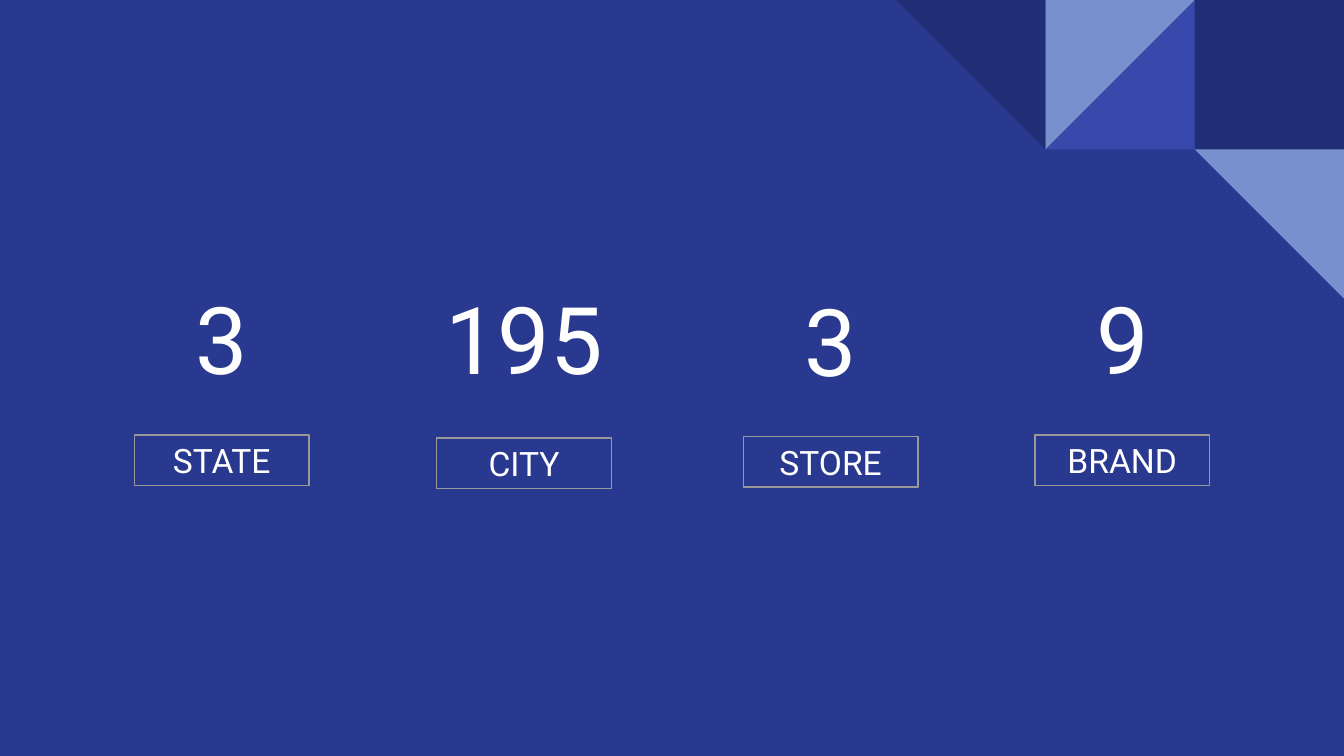
from dataclasses import dataclass

from pptx import Presentation
from pptx.dml.color import RGBColor
from pptx.enum.shapes import MSO_SHAPE as Preset
from pptx.enum.text import MSO_ANCHOR as Anchor
from pptx.enum.text import MSO_AUTO_SIZE as AutoSize
from pptx.enum.text import PP_ALIGN as Align
from pptx.slide import Slide
from pptx.text.text import TextFrame
from pptx.util import Pt

BACKGROUND = RGBColor(0x2A, 0x39, 0x90)
NAVY = RGBColor(0x21, 0x2D, 0x74)
INDIGO = RGBColor(0x39, 0x49, 0xAB)
LIGHT_BLUE = RGBColor(0x78, 0x90, 0xCD)
GRAY = RGBColor(0x99, 0x99, 0x99)
WHITE = RGBColor(0xFF, 0xFF, 0xFF)

FONT = "Roboto"
PAGE_WIDTH, PAGE_HEIGHT = 720, 405
TILE = 80
NUMBER_HEIGHT = 75
LABEL_WIDTH, LABEL_HEIGHT = 93.6, 27
INSET = 7.2


@dataclass
class Tile:
    """A corner tile; columns count from the right edge of the page."""
    column: int
    row: int
    preset: Preset
    rotation: int
    color: RGBColor


@dataclass
class Metric:
    value: str
    label: str
    center: float
    number_top: float
    label_top: float
    number_width: float = 72.7


TILES = [
    Tile(1, 0, Preset.RECTANGLE, 0, NAVY),
    Tile(2, 0, Preset.RIGHT_TRIANGLE, 270, INDIGO),
    Tile(2, 0, Preset.RIGHT_TRIANGLE, 90, LIGHT_BLUE),
    Tile(3, 0, Preset.RIGHT_TRIANGLE, 180, NAVY),
    Tile(1, 1, Preset.RIGHT_TRIANGLE, 180, LIGHT_BLUE),
]

METRICS = [
    Metric("3", "STATE", 118.8, 143.3, 233),
    Metric("195", "CITY", 280.8, 143.3, 234.7, number_width=110),
    Metric("3", "STORE", 445, 144.3, 234),
    Metric("9", "BRAND", 601.2, 143.3, 233),
]


def draw_tile(page: Slide, tile: Tile) -> None:
    shape = page.shapes.add_shape(
        tile.preset, Pt(PAGE_WIDTH - tile.column * TILE), Pt(tile.row * TILE),
        Pt(TILE), Pt(TILE))
    shape.rotation = tile.rotation
    shape.shadow.inherit = False
    shape.fill.solid()
    shape.fill.fore_color.rgb = tile.color
    shape.line.fill.background()


def write_text(frame: TextFrame, text: str, size: float, anchor: Anchor) -> None:
    frame.word_wrap = True
    frame.vertical_anchor = anchor
    frame.margin_left = frame.margin_right = Pt(INSET)
    frame.margin_top = frame.margin_bottom = Pt(INSET)
    para = frame.paragraphs[0]
    para.alignment = Align.CENTER
    span = para.add_run()
    span.text = text
    span.font.name = FONT
    span.font.size = Pt(size)
    span.font.color.rgb = WHITE


def draw_metric(page: Slide, metric: Metric) -> None:
    # Large number
    number = page.shapes.add_textbox(
        Pt(metric.center - metric.number_width / 2), Pt(metric.number_top),
        Pt(metric.number_width), Pt(NUMBER_HEIGHT))
    write_text(number.text_frame, metric.value, 50, Anchor.TOP)
    number.text_frame.auto_size = AutoSize.SHAPE_TO_FIT_TEXT

    # Outlined label
    label = page.shapes.add_shape(
        Preset.RECTANGLE, Pt(metric.center - LABEL_WIDTH / 2),
        Pt(metric.label_top), Pt(LABEL_WIDTH), Pt(LABEL_HEIGHT))
    label.shadow.inherit = False
    label.fill.background()
    label.line.color.rgb = GRAY
    label.line.width = Pt(0.75)
    write_text(label.text_frame, metric.label, 18, Anchor.MIDDLE)


def main() -> None:
    deck = Presentation()
    deck.slide_width, deck.slide_height = Pt(PAGE_WIDTH), Pt(PAGE_HEIGHT)
    page = deck.slides.add_slide(deck.slide_layouts[6])
    page.background.fill.solid()
    page.background.fill.fore_color.rgb = BACKGROUND

    # Corner decoration
    for tile in TILES:
        draw_tile(page, tile)

    # Key figures
    for metric in METRICS:
        draw_metric(page, metric)

    deck.save("out.pptx")


if __name__ == "__main__":
    main()
